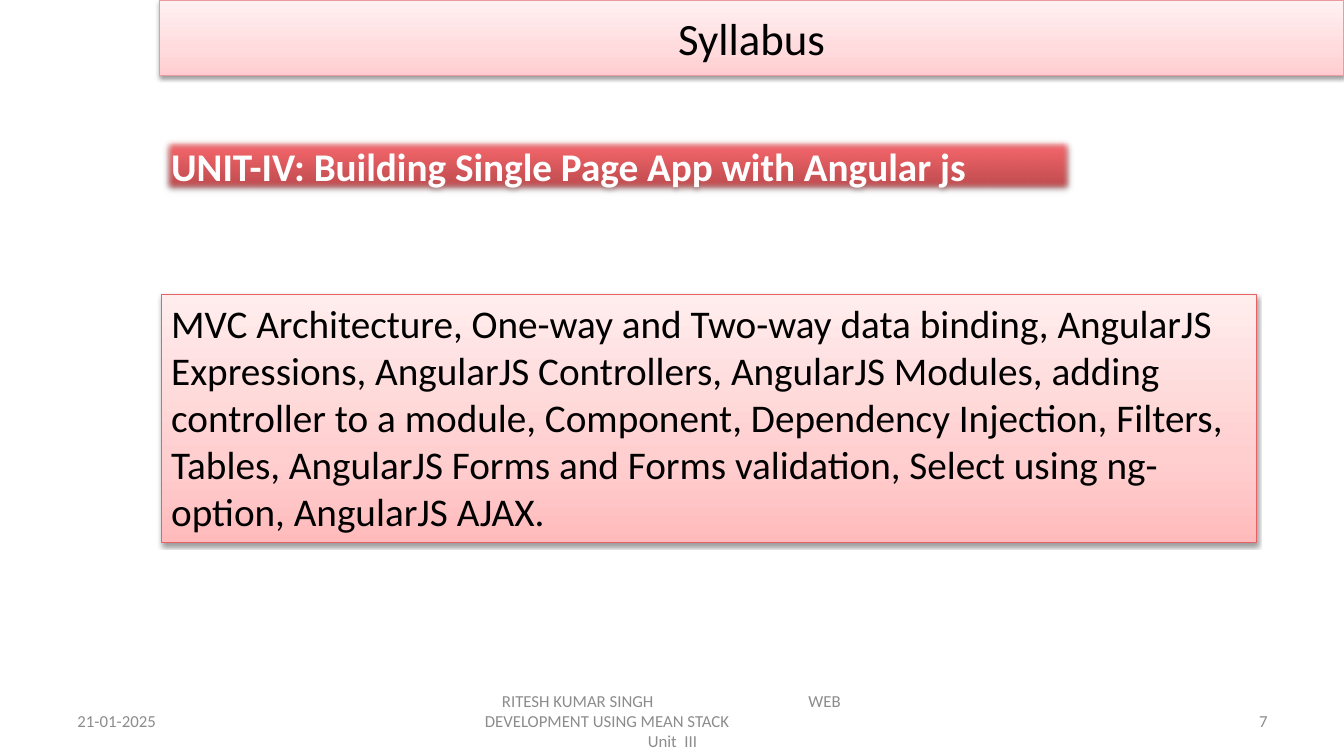
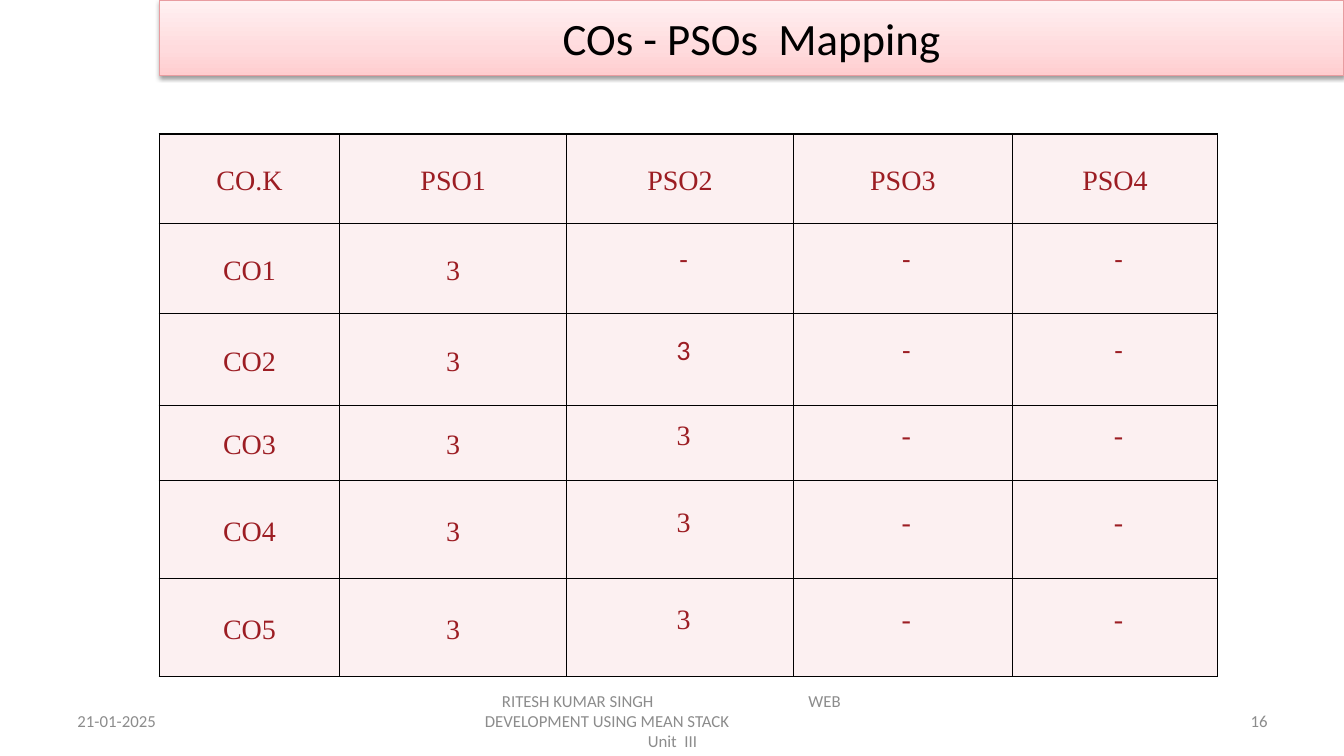
import pptx
import pptx.dml.color
import pptx.enum.shapes
import pptx.enum.text
import pptx.oxml
import pptx.oxml.ns
import pptx.util

Inches = pptx.util.Inches
Pt = pptx.util.Pt
RGBColor = pptx.dml.color.RGBColor
ALIGN = pptx.enum.text.PP_ALIGN
ANCHOR = pptx.enum.text.MSO_ANCHOR
qn = pptx.oxml.ns.qn
NAMESPACE = pptx.oxml.ns.nsdecls("a")

# Colours
BLACK = RGBColor(0x00, 0x00, 0x00)
WHITE = RGBColor(0xFF, 0xFF, 0xFF)
GREY = RGBColor(0x8C, 0x8C, 0x8C)
DARK_RED = RGBColor(0x9C, 0x1D, 0x23)
CELL_PINK = RGBColor(0xFC, 0xF0, 0xF1)
TITLE_LINE = RGBColor(0xE8, 0x9C, 0xA0)
BODY_LINE = RGBColor(0xE6, 0x62, 0x65)

# Gradient stops, from bottom to top: (percent, colour)
TITLE_STOPS = [
    (0, RGBColor(0xFF, 0xCD, 0xCF)),
    (35, RGBColor(0xFF, 0xDB, 0xDD)),
    (100, RGBColor(0xFF, 0xF1, 0xF2)),
]
UNIT_STOPS = [
    (0, RGBColor(0xB4, 0x46, 0x49)),
    (80, RGBColor(0xF1, 0x65, 0x69)),
    (100, RGBColor(0xF5, 0x63, 0x67)),
]
BODY_STOPS = [
    (0, RGBColor(0xFF, 0xBB, 0xBC)),
    (35, RGBColor(0xFF, 0xCF, 0xD0)),
    (100, RGBColor(0xFF, 0xED, 0xED)),
]

# Text formats
FOOTER_FONT = {"name": "Calibri", "size": Pt(12), "color": GREY}
TITLE_FONT = {"name": "Calibri", "size": Pt(32), "color": BLACK}
UNIT_FONT = {"name": "Calibri", "size": Pt(28), "color": WHITE, "bold": True}
BODY_FONT = {"name": "Calibri", "size": Pt(28), "color": BLACK}
CELL_FONT = {"name": "Times New Roman", "size": Pt(20), "color": DARK_RED}


def write(paragraph, text, font_format, alignment):
    paragraph.alignment = alignment
    run = paragraph.add_run()
    run.text = text
    for attribute, value in font_format.items():
        if attribute == "color":
            run.font.color.rgb = value
        else:
            setattr(run.font, attribute, value)


def add_band(slide, box, stops, line_color, shadow_opacity, anchor):
    """Rectangle with a vertical gradient and a soft shadow below it."""
    shape = slide.shapes.add_shape(
        pptx.enum.shapes.MSO_SHAPE.RECTANGLE, *[Inches(value) for value in box])
    shape.fill.gradient()
    properties = shape.element.spPr
    stop_xml = "".join(
        f'<a:gs pos="{percent * 1000}"><a:srgbClr val="{color}"/></a:gs>'
        for percent, color in stops)
    properties.replace(properties.find(qn("a:gradFill")), pptx.oxml.parse_xml(
        f'<a:gradFill {NAMESPACE} rotWithShape="1"><a:gsLst>{stop_xml}</a:gsLst>'
        '<a:lin ang="16200000" scaled="0"/></a:gradFill>'))
    if line_color is None:
        shape.line.fill.background()
    else:
        shape.line.color.rgb = line_color
        shape.line.width = Pt(0.75)
    shape.shadow.inherit = False
    properties.find(qn("a:effectLst")).append(pptx.oxml.parse_xml(
        f'<a:outerShdw {NAMESPACE} blurRad="{Pt(3.1)}" dist="{Pt(1.6)}" dir="5400000"'
        f' rotWithShape="0"><a:srgbClr val="000000"><a:alpha val="{shadow_opacity * 1000}"/>'
        '</a:srgbClr></a:outerShdw>'))
    shape.text_frame.word_wrap = True
    shape.text_frame.vertical_anchor = anchor
    return shape


presentation = pptx.Presentation()
presentation.slide_width = Inches(13.33)
presentation.slide_height = Inches(7.5)

# Footer boxes: left, width, alignment; the middle one has tab stops per line
FOOTER_TOP, FOOTER_HEIGHT = 6.95, 0.4
FOOTER_LINES = [
    ("\tRITESH KUMAR SINGH\tWEB", [0.32, 3.36], ALIGN.LEFT),
    ("\tDEVELOPMENT USING MEAN STACK", [0.15], ALIGN.LEFT),
    ("Unit  III", [], ALIGN.CENTER),
]

# Shared parts of both slides
slides = []
for title, number in [("Syllabus", "7"), ("COs - PSOs  Mapping", "16")]:
    slide = presentation.slides.add_slide(presentation.slide_layouts[6])
    slides.append(slide)
    footers = [
        (0.67, 3.11, [("21-01-2025", [], ALIGN.LEFT)]),
        (4.56, 4.22, FOOTER_LINES),
        (9.56, 3.11, [(number, [], ALIGN.RIGHT)]),
    ]
    for left, width, lines in footers:
        text_frame = slide.shapes.add_textbox(
            Inches(left), Inches(FOOTER_TOP), Inches(width), Inches(FOOTER_HEIGHT)).text_frame
        text_frame.word_wrap = True
        text_frame.vertical_anchor = ANCHOR.MIDDLE
        for index, (text, stops, alignment) in enumerate(lines):
            paragraph = text_frame.add_paragraph() if index else text_frame.paragraphs[0]
            if stops:
                tabs = "".join(f'<a:tab pos="{Inches(stop)}" algn="l"/>' for stop in stops)
                paragraph._p.get_or_add_pPr().append(
                    pptx.oxml.parse_xml(f"<a:tabLst {NAMESPACE}>{tabs}</a:tabLst>"))
            write(paragraph, text, FOOTER_FONT, alignment)
    band = add_band(slide, (1.58, 0, 11.75, 0.75), TITLE_STOPS, TITLE_LINE, 38, ANCHOR.MIDDLE)
    write(band.text_frame.paragraphs[0], title, TITLE_FONT, ALIGN.CENTER)

syllabus_slide, mapping_slide = slides

# Syllabus: unit heading with soft edges
unit = add_band(syllabus_slide, (1.6, 1.36, 9.06, 0.57), UNIT_STOPS, None, 35, ANCHOR.TOP)
unit.element.spPr.find(qn("a:effectLst")).append(
    pptx.oxml.parse_xml(f'<a:softEdge {NAMESPACE} rad="{Pt(5)}"/>'))
write(unit.text_frame.paragraphs[0], "UNIT-IV: Building Single Page App with Angular js",
      UNIT_FONT, ALIGN.JUSTIFY)

# Syllabus: topics
topics = add_band(syllabus_slide, (1.6, 2.92, 10.86, 2.46), BODY_STOPS, BODY_LINE, 38, ANCHOR.TOP)
write(topics.text_frame.paragraphs[0],
      "MVC Architecture, One-way and Two-way data binding, AngularJS Expressions, "
      "AngularJS Controllers, AngularJS Modules, adding controller to a module, Component, "
      "Dependency Injection, Filters, Tables, AngularJS Forms and Forms validation, "
      "Select using ng-option, AngularJS AJAX.",
      BODY_FONT, ALIGN.LEFT)

# Mapping table
ROWS = [
    ["CO.K", "PSO1", "PSO2", "PSO3", "PSO4"],
    ["CO1", "3", "-", "-", "-"],
    ["CO2", "3", "3", "-", "-"],
    ["CO3", "3", "3", "-", "-"],
    ["CO4", "3", "3", "-", "-"],
    ["CO5", "3", "3", "-", "-"],
]
COLUMN_WIDTHS = [1.79, 2.25, 2.25, 2.17, 2.04]
ROW_HEIGHTS = [0.89, 0.89, 0.91, 0.75, 0.97, 0.97]
CALIBRI_ROWS = (1, 2)

table = mapping_slide.shapes.add_table(
    len(ROWS), len(COLUMN_WIDTHS), Inches(1.58), Inches(1.33),
    Inches(sum(COLUMN_WIDTHS)), Inches(sum(ROW_HEIGHTS))).table
table.first_row = False
table.horz_banding = False
for column, width in zip(table.columns, COLUMN_WIDTHS):
    column.width = Inches(width)
for row, height in zip(table.rows, ROW_HEIGHTS):
    row.height = Inches(height)

for row_index, values in enumerate(ROWS):
    for column_index, value in enumerate(values):
        cell = table.cell(row_index, column_index)
        cell.vertical_anchor = ANCHOR.MIDDLE
        cell.margin_left = cell.margin_right = Inches(0.07)
        cell.margin_top = cell.margin_bottom = 0
        paragraph = cell.text_frame.paragraphs[0]
        cell_font = dict(CELL_FONT)
        if row_index > 0 and column_index > 1:
            paragraph.line_spacing = Pt(12.3)
            paragraph._p.get_or_add_pPr().set("marL", str(Inches(0.07)))
            if row_index in CALIBRI_ROWS:
                cell_font["name"] = "Calibri"
        else:
            paragraph.line_spacing = 1.15
        write(paragraph, value, cell_font, ALIGN.CENTER)
        # Borders come before the fill in the cell properties
        cell_properties = cell._tc.get_or_add_tcPr()
        for side in ("lnL", "lnR", "lnT", "lnB"):
            cell_properties.append(pptx.oxml.parse_xml(
                f'<a:{side} {NAMESPACE} w="{Pt(1)}"><a:solidFill>'
                f'<a:srgbClr val="{BLACK}"/></a:solidFill></a:{side}>'))
        cell.fill.solid()
        cell.fill.fore_color.rgb = CELL_PINK

presentation.save("out.pptx")
